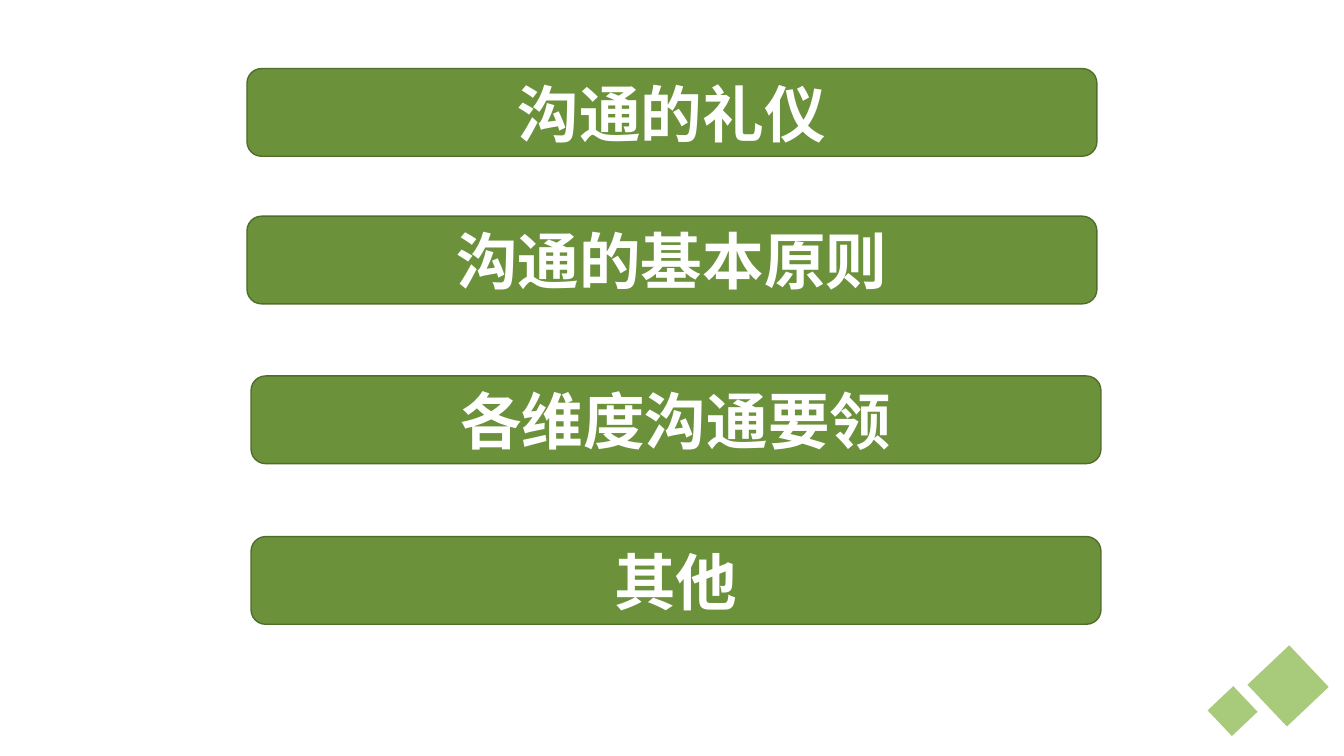
from lxml.etree import SubElement
from pptx import Presentation
from pptx.dml.color import RGBColor
from pptx.enum.shapes import MSO_SHAPE as SHAPE
from pptx.enum.text import MSO_ANCHOR as ANCHOR, PP_ALIGN as ALIGN
from pptx.oxml.ns import qn
from pptx.util import Inches, Pt

WIDTH, HEIGHT = Inches(13.33), Inches(7.5)


def rgb(value):
    return RGBColor.from_string(value)


class Deck:
    """Style and current slide; lengths are percentages of the slide's size."""

    font = "Noto Sans CJK SC"
    bar_fill, bar_line, tile_fill, text = "6B913A", "506D2C", "A8CA7B", "FFFFFF"

    def __init__(self, slide):
        self.s = slide

    def shape(self, parent, kind, box, fill):
        x, y, w, h = box
        sp = parent.add_shape(kind, int(WIDTH * x / 100), int(HEIGHT * y / 100),
                              int(WIDTH * w / 100), int(HEIGHT * h / 100))
        sp.shadow.inherit = False
        sp.fill.solid()
        sp.fill.fore_color.rgb = rgb(fill)
        return sp

    def bar(self, label, x, y):
        sp = self.shape(self.s.shapes, SHAPE.ROUNDED_RECTANGLE,
                        (x, y, 63.24, 11.6), self.bar_fill)
        sp.line.color.rgb = rgb(self.bar_line)
        sp.line.width = Pt(1)
        tf = sp.text_frame
        tf.word_wrap = True
        tf.vertical_anchor = ANCHOR.MIDDLE
        p = tf.paragraphs[0]
        p.text = label
        p.alignment = ALIGN.CENTER
        p.font.name = self.font
        p.font.size = Pt(44)
        p.font.bold = True
        p.font.color.rgb = rgb(self.text)
        # East Asian glyphs take their typeface from a:ea
        defaults = p._p.pPr.find(qn("a:defRPr"))
        SubElement(defaults, qn("a:ea")).set("typeface", self.font)

    def tiles(self, boxes):
        group = self.s.shapes.add_group_shape()
        for box in boxes:
            sp = self.shape(group.shapes, SHAPE.RECTANGLE, box, self.tile_fill)
            sp.line.fill.background()
            sp.rotation = 316.6


def main():
    prs = Presentation()
    prs.slide_width, prs.slide_height = WIDTH, HEIGHT
    blank = prs.slide_layouts[6]
    deck = Deck(prs.slides.add_slide(blank))

    deck.tiles([(93.7, 86.93, 4.28, 7.6), (90.4, 91.73, 2.63, 4.67)])
    for label, x, y in [
        ("沟通的礼仪", 18.38, 9.07),
        ("沟通的基本原则", 18.38, 28.6),
        ("各维度沟通要领", 18.68, 49.73),
        ("其他", 18.68, 70.98),
    ]:
        deck.bar(label, x, y)

    prs.save("out.pptx")


if __name__ == "__main__":
    main()
